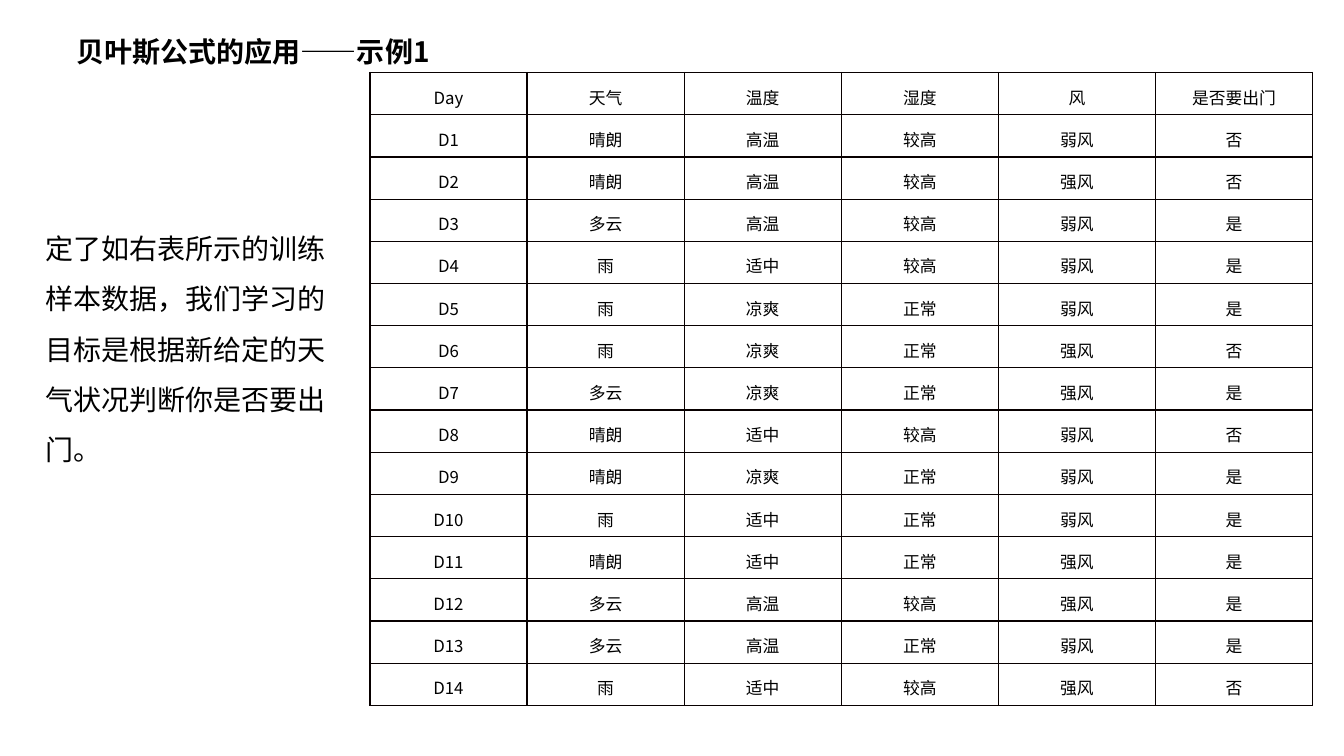
from dataclasses import dataclass

from lxml.etree import SubElement
from pptx import Presentation
from pptx.dml.color import RGBColor as Color
from pptx.enum.text import MSO_ANCHOR as Anchor, MSO_AUTO_SIZE as AutoSize, PP_ALIGN as Align
from pptx.oxml.ns import qn
from pptx.util import Inches, Pt

GRID_COLUMNS, GRID_ROWS = 160, 90
SLIDE_WIDTH, SLIDE_HEIGHT = Inches(13.33), Inches(7.5)


@dataclass(frozen=True)
class Theme:
    font: str = "Noto Sans CJK SC"
    ink: str = "000000"
    border: str = "080000"
    border_width: int = Pt(1)
    heading_size: int = Pt(20)
    body_size: int = Pt(20)
    cell_size: int = Pt(12)
    line_spacing: float = 1.5
    cell_side_margin: int = Inches(0.07)


THEME = Theme()

TITLE_BOX = (7.92, 3.48, 66, 5.28)
EXPLANATION_BOX = (4.2, 24.96, 36.12, 35.52)
TABLE_BOX = (44.04, 8.64, 112.25, 75.36)

TITLE = "贝叶斯公式的应用——示例1"
EXPLANATION = "定了如右表所示的训练样本数据，我们学习的目标是根据新给定的天气状况判断你是否要出门。"
HEADINGS = ["Day", "天气", "温度", "湿度", "风", "是否要出门"]
OBSERVATIONS = """
晴朗 高温 较高 弱风 否
晴朗 高温 较高 强风 否
多云 高温 较高 弱风 是
雨 适中 较高 弱风 是
雨 凉爽 正常 弱风 是
雨 凉爽 正常 强风 否
多云 凉爽 正常 强风 是
晴朗 适中 较高 弱风 否
晴朗 凉爽 正常 弱风 是
雨 适中 正常 弱风 是
晴朗 适中 正常 强风 是
多云 高温 较高 强风 是
多云 高温 正常 弱风 是
雨 适中 较高 强风 否
"""


def place(box):
    left, top, width, height = box
    column, row = SLIDE_WIDTH / GRID_COLUMNS, SLIDE_HEIGHT / GRID_ROWS
    return [round(length) for length in (left * column, top * row, width * column, height * row)]


def apply_format(target, values):
    for name, value in values.items():
        setattr(target, name, value)


def write_text(text_frame, text, size, bold=False, **paragraph_format):
    paragraph = text_frame.paragraphs[0]
    apply_format(paragraph, paragraph_format)
    run = paragraph.add_run()
    run.text = text
    apply_format(run.font, {"name": THEME.font, "size": size, "bold": bold})
    run.font.color.rgb = Color.from_string(THEME.ink)
    SubElement(run.font._element, qn("a:ea"), typeface=THEME.font)


def add_text(slide, box, text, size, **text_format):
    text_frame = slide.shapes.add_textbox(*place(box)).text_frame
    apply_format(text_frame, {"word_wrap": True, "auto_size": AutoSize.SHAPE_TO_FIT_TEXT})
    write_text(text_frame, text, size, **text_format)


def draw_borders(cell):
    properties = cell._tc.get_or_add_tcPr()
    for position, side in enumerate(("a:lnL", "a:lnR", "a:lnT", "a:lnB")):
        line = SubElement(properties, qn(side), w=str(THEME.border_width))
        fill = SubElement(line, qn("a:solidFill"))
        SubElement(fill, qn("a:srgbClr"), val=THEME.border)
        properties.insert(position, line)


def add_training_table(slide, box, records):
    left, top, width, height = place(box)
    row_count, column_count = len(records), len(records[0])
    table = slide.shapes.add_table(row_count, column_count, left, top, width, height).table
    apply_format(table, {"first_row": False, "horz_banding": False})
    for column in table.columns:
        column.width = round(width / column_count)
    for row, record in zip(table.rows, records):
        row.height = round(height / row_count)
        for cell, text in zip(row.cells, record):
            apply_format(cell, {
                "margin_left": THEME.cell_side_margin,
                "margin_right": THEME.cell_side_margin,
                "margin_top": 0,
                "margin_bottom": 0,
                "vertical_anchor": Anchor.TOP,
            })
            cell.fill.background()
            draw_borders(cell)
            write_text(cell.text_frame, text, THEME.cell_size,
                       alignment=Align.CENTER, line_spacing=THEME.line_spacing)


def main():
    presentation = Presentation()
    apply_format(presentation, {"slide_width": SLIDE_WIDTH, "slide_height": SLIDE_HEIGHT})
    slide = presentation.slides.add_slide(presentation.slide_layouts[6])
    days = [[f"D{number}", *line.split()]
            for number, line in enumerate(OBSERVATIONS.strip().splitlines(), start=1)]
    add_text(slide, TITLE_BOX, TITLE, THEME.heading_size, bold=True)
    add_text(slide, EXPLANATION_BOX, EXPLANATION, THEME.body_size,
             line_spacing=THEME.line_spacing)
    add_training_table(slide, TABLE_BOX, [HEADINGS, *days])
    presentation.save("out.pptx")


if __name__ == "__main__":
    main()
